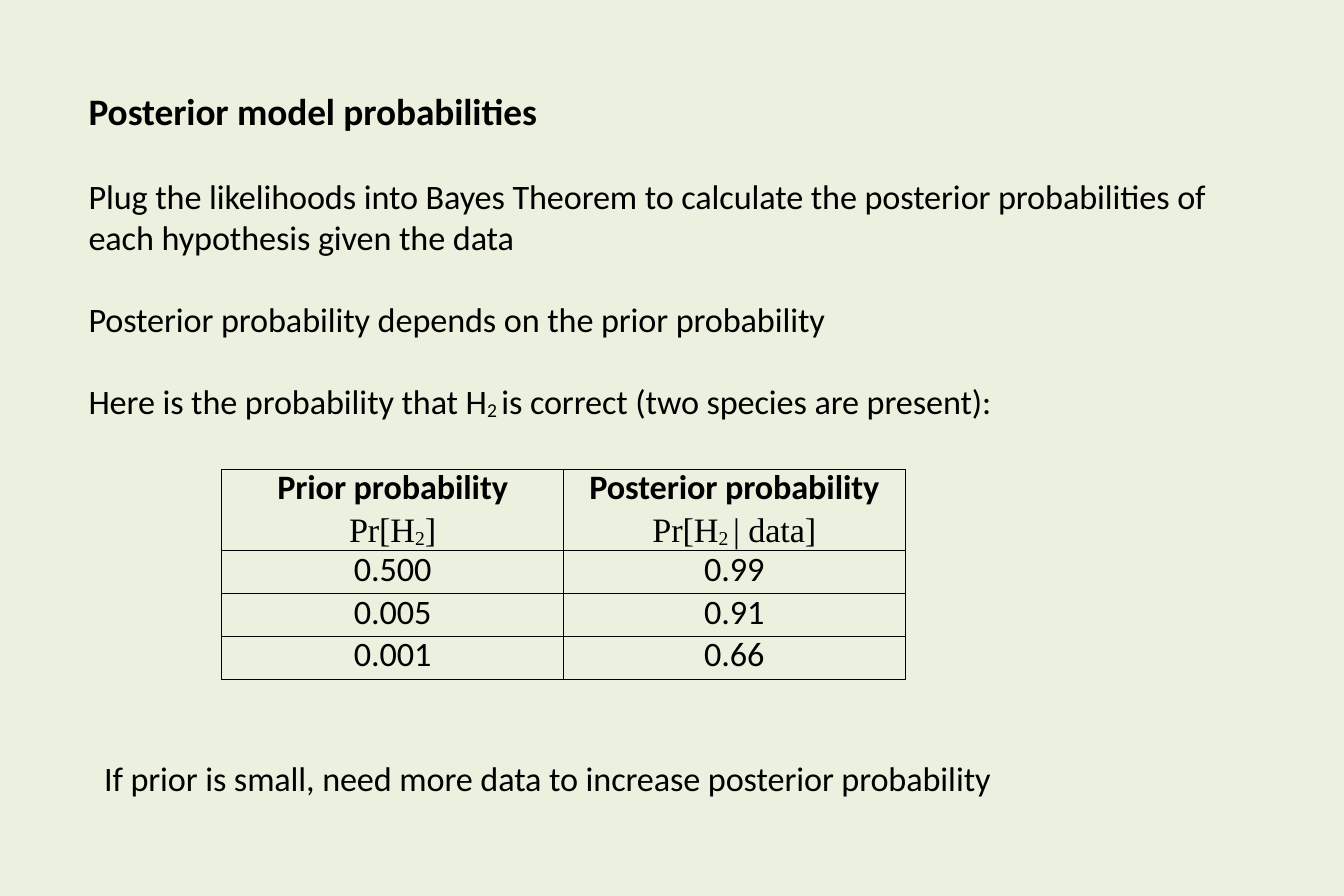
from dataclasses import dataclass

from lxml import etree
from pptx import Presentation
from pptx.dml.color import RGBColor
from pptx.enum.text import PP_ALIGN
from pptx.oxml.ns import qn
from pptx.slide import Slide
from pptx.table import _Cell
from pptx.text.text import TextFrame
from pptx.util import Cm, Pt

CENTER = PP_ALIGN.CENTER
LEFT = PP_ALIGN.LEFT


@dataclass(frozen=True)
class Theme:
    background: RGBColor = RGBColor(0xEB, 0xF1, 0xDE)
    ink: RGBColor = RGBColor(0, 0, 0)
    sans: str = "Calibri"
    serif: str = "Times New Roman"
    title_size: Pt = Pt(24)
    body_size: Pt = Pt(22)
    subscript_size: Pt = Pt(21.8)
    paragraph_gap: Pt = Pt(26.5)
    border_width: Pt = Pt(0.5)
    tracking: str = "-5"
    subscript_shift: str = "-8000"


THEME = Theme()


@dataclass(frozen=True)
class Span:
    text: str
    bold: bool = False
    font: str = THEME.sans
    size: Pt = THEME.body_size
    subscript: bool = False


@dataclass(frozen=True)
class Line:
    spans: tuple[Span, ...]
    align: PP_ALIGN = LEFT
    space_before: Pt = Pt(0)
    line_spacing: Pt | float = 1.0


@dataclass(frozen=True)
class Block:
    left: float
    top: float
    width: float
    height: float
    lines: tuple[Line, ...]


def sub(text: str, font: str = THEME.sans) -> Span:
    return Span(text, font=font, size=THEME.subscript_size, subscript=True)


def serif(text: str) -> Span:
    return Span(text, font=THEME.serif)


def cell_line(spans: tuple[Span, ...], spacing: float = 25.5) -> Line:
    return Line(spans, align=CENTER, line_spacing=Pt(spacing))


def header(heading: str, *formula: Span) -> tuple[Line, ...]:
    return cell_line((Span(heading, bold=True),)), cell_line(formula, 26.3)


TITLE = Block(2.01, 1.96, 10.34, 1.09, (
    Line((Span("Posterior model probabilities", bold=True, size=THEME.title_size),)),
))
EXPLANATION = Block(2.01, 3.94, 25.76, 5.74, (
    Line((Span("Plug the likelihoods into Bayes Theorem to calculate the posterior "
               "probabilities of each hypothesis given the data"),)),
    Line((Span("Posterior probability depends on the prior probability"),),
         space_before=THEME.paragraph_gap),
    Line((Span("Here is the probability that H"), sub("2 "),
          Span("is correct (two species are present):")),
         space_before=THEME.paragraph_gap),
))
CONCLUSION = Block(2.36, 17.15, 20.4, 1.02, (
    Line((Span("If prior is small, need more data to increase posterior probability"),)),
))

HEADERS = (
    header("Prior probability", serif("Pr[H"), sub("2", THEME.serif), serif("]")),
    header("Posterior probability", serif("Pr[H"), sub("2 ", THEME.serif), serif("| data]")),
)
PROBABILITIES = (("0.500", "0.99"), ("0.005", "0.91"), ("0.001", "0.66"))
TABLE_LEFT, TABLE_TOP = 5.03, 10.64
COLUMN_WIDTH, HEADER_HEIGHT, ROW_HEIGHT = 7.75, 1.85, 0.97


def write_lines(frame: TextFrame, lines: tuple[Line, ...]) -> None:
    for index, line in enumerate(lines):
        paragraph = frame.add_paragraph() if index else frame.paragraphs[0]
        layout = {"alignment": line.align, "line_spacing": line.line_spacing,
                  "space_before": line.space_before}
        for name, value in layout.items():
            setattr(paragraph, name, value)
        for span in line.spans:
            run = paragraph.add_run()
            run.text = span.text
            look = {"name": span.font, "size": span.size, "bold": span.bold}
            for name, value in look.items():
                setattr(run.font, name, value)
            run.font.color.rgb = THEME.ink
            properties = run._r.get_or_add_rPr()
            properties.set("spc", THEME.tracking)
            if span.subscript:
                properties.set("baseline", THEME.subscript_shift)


def add_block(slide: Slide, block: Block) -> None:
    box = slide.shapes.add_textbox(Cm(block.left), Cm(block.top),
                                   Cm(block.width), Cm(block.height))
    frame = box.text_frame
    settings = {"word_wrap": True, "margin_left": 0, "margin_right": 0,
                "margin_top": Cm(0.03), "margin_bottom": 0}
    for name, value in settings.items():
        setattr(frame, name, value)
    write_lines(frame, block.lines)


def add_borders(cell: _Cell) -> None:
    properties = cell._tc.get_or_add_tcPr()
    for side in ("a:lnL", "a:lnR", "a:lnT", "a:lnB"):
        border = etree.SubElement(properties, qn(side), w=str(THEME.border_width))
        fill = etree.SubElement(border, qn("a:solidFill"))
        etree.SubElement(fill, qn("a:srgbClr"), val=str(THEME.ink))


def fill_cell(cell: _Cell, lines: tuple[Line, ...]) -> None:
    for side in ("left", "right", "top", "bottom"):
        setattr(cell, f"margin_{side}", 0)
    add_borders(cell)
    cell.fill.background()
    write_lines(cell.text_frame, lines)


def add_probability_table(slide: Slide) -> None:
    values = [tuple((cell_line((Span(value),)),) for value in row) for row in PROBABILITIES]
    rows = [HEADERS, *values]
    heights = [HEADER_HEIGHT] + [ROW_HEIGHT] * len(values)
    table = slide.shapes.add_table(
        len(rows), len(HEADERS), Cm(TABLE_LEFT), Cm(TABLE_TOP),
        Cm(COLUMN_WIDTH * len(HEADERS)), Cm(sum(heights))).table
    table.first_row = False
    table.horz_banding = False
    for column in table.columns:
        column.width = Cm(COLUMN_WIDTH)
    for r, (row, height) in enumerate(zip(rows, heights)):
        table.rows[r].height = Cm(height)
        for c, lines in enumerate(row):
            fill_cell(table.cell(r, c), lines)


def main() -> None:
    deck = Presentation()
    deck.slide_width, deck.slide_height = Cm(30.48), Cm(20.32)
    slide = deck.slides.add_slide(deck.slide_layouts[6])
    slide.background.fill.solid()
    slide.background.fill.fore_color.rgb = THEME.background
    add_block(slide, TITLE)
    add_block(slide, EXPLANATION)
    add_probability_table(slide)
    add_block(slide, CONCLUSION)
    deck.save("out.pptx")


if __name__ == "__main__":
    main()
